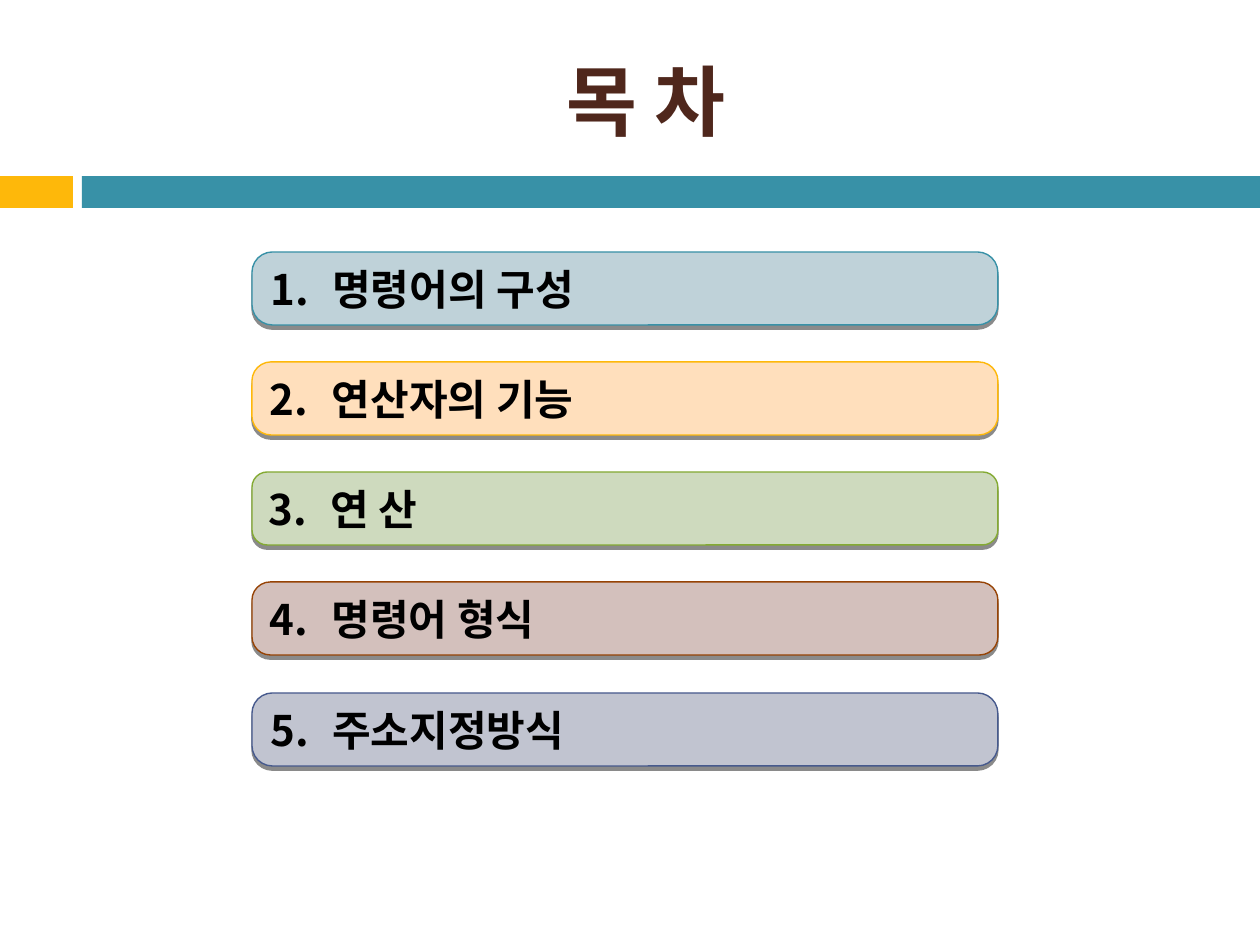
from lxml import etree
from pptx import Presentation
from pptx.dml.color import RGBColor
from pptx.enum import shapes, text
from pptx.oxml import parse_xml
from pptx.oxml.ns import nsdecls, qn
from pptx.util import Pt

PX = 914400 / 126
FONT = "Noto Sans CJK KR"
COLORS = {"gold": "FEB80A", "teal": "3891A7", "title": "4F271C", "ink": "000000"}


def add_block(kind, left, top, width, height, fill):
    block = slide.shapes.add_shape(kind, *(round(v * PX) for v in (left, top, width, height)))
    block.shadow.inherit = False
    block.fill.solid()
    block.fill.fore_color.rgb = RGBColor.from_string(fill)
    block.line.fill.background()
    return block


def style_runs(paragraph, size, color):
    for run in paragraph.runs:
        run.font.size = Pt(size)
        run.font.bold = True
        run.font.name = FONT
        run.font.color.rgb = RGBColor.from_string(color)
        # Hangul takes its typeface from the East Asian slot
        etree.SubElement(run.font._element, qn("a:ea")).set("typeface", FONT)


prs = Presentation()
prs.slide_width = round(1260 * PX)
prs.slide_height = round(945 * PX)
slide = prs.slides.add_slide(prs.slide_layouts[5])

# Band under the title
add_block(shapes.MSO_SHAPE.RECTANGLE, 0, 176, 73, 32, COLORS["gold"])
add_block(shapes.MSO_SHAPE.RECTANGLE, 82, 176, 1178, 32, COLORS["teal"])

# Title
title = slide.shapes.title
title.left, title.top, title.width, title.height = (round(v * PX) for v in (84, 32, 1124, 136))
title.text_frame.text = "목 차"
title.text_frame.vertical_anchor = text.MSO_ANCHOR.MIDDLE
heading = title.text_frame.paragraphs[0]
heading.alignment = text.PP_ALIGN.CENTER
style_runs(heading, 44, COLORS["title"])

# Chapters: wording, fill, outline, corner radius
chapters = [
    ("명령어의 구성", "BFD2D9", COLORS["teal"], 0.28),
    ("연산자의 기능", "FFDFBC", COLORS["gold"], 0.26),
    ("연 산", "CEDABE", "84AA33", 0.21),
    ("명령어 형식", "D3C0BC", "964305", 0.25),
    ("주소지정방식", "C1C4D0", "475A8D", 0.28),
]
for index, (topic, fill, outline, radius) in enumerate(chapters):
    chapter = add_block(shapes.MSO_SHAPE.ROUNDED_RECTANGLE,
                        252, 252 + index * 441 // 4, 746, 73, fill)
    chapter.adjustments[0] = radius
    chapter.line.color.rgb = RGBColor.from_string(outline)
    chapter.line.width = Pt(0.79)

    # Hard shadow straight below
    chapter._element.spPr.find(qn("a:effectLst")).append(parse_xml(
        f'<a:outerShdw {nsdecls("a")} blurRad="0" dist="{Pt(2.4)}" dir="5400000" rotWithShape="0">'
        '<a:srgbClr val="000000"><a:alpha val="45000"/></a:srgbClr></a:outerShdw>'))

    # Number, then topic at a tab stop
    frame = chapter.text_frame
    frame.word_wrap = True
    frame.vertical_anchor = text.MSO_ANCHOR.MIDDLE
    frame.text = f"{index + 1}.\t{topic}"
    entry = frame.paragraphs[0]
    entry.alignment = text.PP_ALIGN.LEFT
    stops = etree.SubElement(entry._p.get_or_add_pPr(), qn("a:tabLst"))
    etree.SubElement(stops, qn("a:tab"), pos=str(round(62 * PX)), algn="l")
    style_runs(entry, 24, COLORS["ink"])

prs.save("out.pptx")
